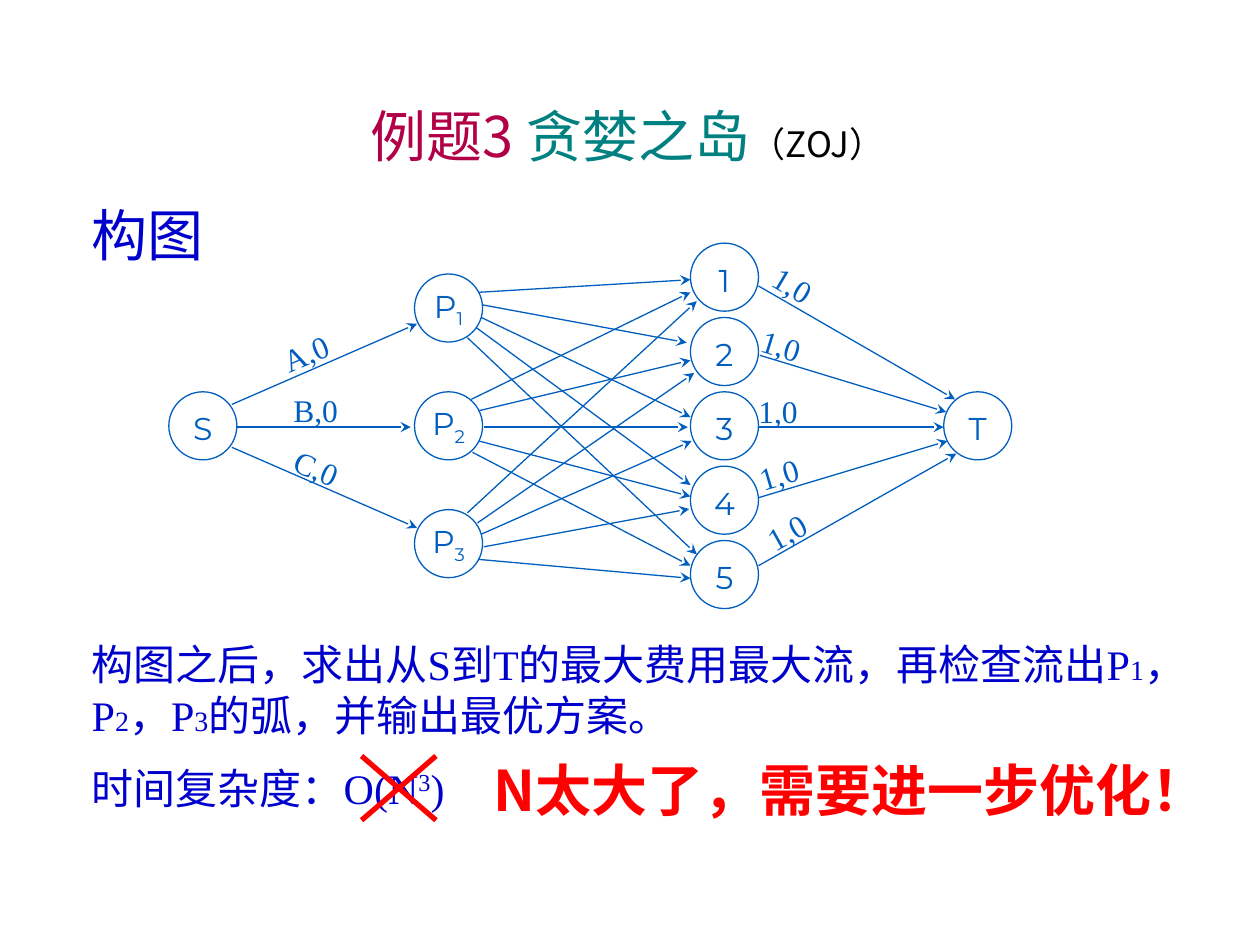
from typing import NamedTuple

from lxml.etree import SubElement
from pptx import Presentation
from pptx.dml.color import RGBColor
from pptx.enum.shapes import MSO_CONNECTOR as Connector, MSO_SHAPE as Shape
from pptx.enum.text import MSO_ANCHOR as Anchor, MSO_AUTO_SIZE as AutoSize, PP_ALIGN as Align
from pptx.oxml.ns import qn
from pptx.util import Inches, Pt

NAVY = RGBColor(0x00, 0x00, 0xCC)
BLUE = RGBColor(0x00, 0x5F, 0xBE)
CRIMSON = RGBColor(0xB2, 0x00, 0x48)
TEAL = RGBColor(0x00, 0x80, 0x80)
BLACK = RGBColor(0x00, 0x00, 0x00)
RED = RGBColor(0xFF, 0x00, 0x00)
SERIF = "Times New Roman"
HAN = "Noto Sans CJK SC"
NODE_FONT = "Montserrat"
NODE_SIZE = 0.54
PERSON_X, ITEM_X = 3.29, 5.48
MIDDLE_Y, ITEM_PITCH, PERSON_PITCH = 3.11, 0.59, 0.935


class Span(NamedTuple):
    text: str
    size: float
    font: str
    color: RGBColor
    baseline: int = 0
    bold: bool = False


class Node(NamedTuple):
    name: str
    left: float
    top: float
    subscript: str = ""


class Edge(NamedTuple):
    x1: float
    y1: float
    x2: float
    y2: float


class Label(NamedTuple):
    text: str
    left: float
    top: float
    width: float = 0.79
    angle: float = 0


def write(frame, spans: list[Span], *, align=Align.LEFT, anchor=Anchor.TOP, wrap=True) -> None:
    frame.word_wrap = wrap
    frame.vertical_anchor = anchor
    paragraph = frame.paragraphs[0]
    paragraph.alignment = align
    for span in spans:
        run = paragraph.add_run()
        run.text = span.text
        run.font.size = Pt(span.size)
        run.font.bold = span.bold
        run.font.color.rgb = span.color
        run.font.name = span.font
        properties = run._r.get_or_add_rPr()
        SubElement(properties, qn("a:ea"), typeface=HAN)
        if span.baseline:
            properties.set("baseline", str(span.baseline * 1000))


def add_text(slide, left: float, top: float, width: float, height: float,
             spans: list[Span], *, angle: float = 0, **layout) -> None:
    box = slide.shapes.add_textbox(Inches(left), Inches(top), Inches(width), Inches(height))
    box.rotation = angle
    write(box.text_frame, spans, **layout)
    box.text_frame.auto_size = AutoSize.SHAPE_TO_FIT_TEXT


def draw_node(slide, node: Node) -> None:
    circle = slide.shapes.add_shape(Shape.OVAL, Inches(node.left), Inches(node.top),
                                    Inches(NODE_SIZE), Inches(NODE_SIZE))
    circle.shadow.inherit = False
    circle.fill.background()
    circle.line.color.rgb = BLUE
    circle.line.width = Pt(0.75)
    frame = circle.text_frame
    frame.margin_left = frame.margin_right = frame.margin_bottom = 0
    frame.margin_top = Inches(0 if node.subscript else 0.04)
    spans = [Span(node.name, 18, NODE_FONT, BLUE)]
    if node.subscript:
        spans.append(Span(node.subscript, 18, NODE_FONT, BLUE, baseline=-25))
    write(frame, spans, align=Align.CENTER, anchor=Anchor.MIDDLE, wrap=False)


def draw_edge(slide, edge: Edge, *, color: RGBColor = BLUE, width: float = 0.75,
              arrow: bool = True) -> None:
    line = slide.shapes.add_connector(Connector.STRAIGHT, *(Inches(v) for v in edge))
    line.line.color.rgb = color
    line.line.width = Pt(width)
    properties = line.element.spPr
    if arrow:
        SubElement(properties.find(qn("a:ln")), qn("a:tailEnd"), type="stealth")
    SubElement(properties, qn("a:effectLst"))


def draw_label(slide, label: Label) -> None:
    add_text(slide, label.left, label.top, label.width, 0.4,
             [Span(label.text, 18, SERIF, BLUE)], angle=label.angle, anchor=Anchor.MIDDLE)


NODES = [
    Node("S", 1.34, MIDDLE_Y),
    *(Node("P", PERSON_X, MIDDLE_Y + (i - 2) * PERSON_PITCH, str(i)) for i in range(1, 4)),
    *(Node(str(i), ITEM_X, MIDDLE_Y + (i - 3) * ITEM_PITCH) for i in range(1, 6)),
    Node("T", 7.49, MIDDLE_Y),
]

SOURCE_EDGES = [
    Edge(1.84, 3.21, 3.31, 2.57), Edge(1.88, 3.39, 3.26, 3.39), Edge(1.84, 3.55, 3.31, 4.19),
]
CHOICE_EDGES = [
    Edge(3.8, 2.32, 5.48, 2.22), Edge(3.83, 2.42, 5.45, 2.72), Edge(3.82, 2.52, 5.48, 3.31),
    Edge(3.78, 2.6, 5.48, 3.85), Edge(3.71, 2.68, 5.53, 4.4),
    Edge(3.74, 3.17, 5.48, 2.32), Edge(3.8, 3.26, 5.48, 2.86), Edge(3.84, 3.39, 5.46, 3.39),
    Edge(3.8, 3.5, 5.48, 3.94), Edge(3.75, 3.59, 5.48, 4.49),
    Edge(3.71, 4.07, 5.53, 2.39), Edge(3.79, 4.15, 5.51, 2.96), Edge(3.82, 4.24, 5.49, 3.5),
    Edge(3.84, 4.34, 5.47, 4.04), Edge(3.8, 4.44, 5.48, 4.59),
]
SINK_EDGES = [
    Edge(6.02, 2.27, 7.58, 3.17), Edge(6.03, 2.82, 7.51, 3.27), Edge(6.02, 3.39, 7.49, 3.39),
    Edge(6.02, 3.95, 7.52, 3.5), Edge(6.02, 4.49, 7.59, 3.6),
]
LABELS = [
    Label("A,0", 2.13, 2.54, 0.89, 337.3), Label("B,0", 2.23, 3.05),
    Label("C,0", 2.23, 3.55, 0.74, 23.8),
    Label("1,0", 6.02, 2.13, angle=30.8), Label("1,0", 5.94, 2.58, angle=17.2),
    Label("1,0", 5.92, 3.06), Label("1,0", 5.92, 3.52, angle=343.4),
    Label("1,0", 5.97, 3.95, angle=330.8),
]
CROSS = [Edge(2.87, 6, 3.46, 6.51), Edge(3.46, 6, 2.87, 6.51)]


def main() -> None:
    deck = Presentation()
    deck.slide_width, deck.slide_height = Inches(10), Inches(7.5)
    slide = deck.slides.add_slide(deck.slide_layouts[6])

    add_text(slide, 0.31, 0.75, 9.34, 0.64, [
        Span("例题3 ", 32, HAN, CRIMSON),
        Span("贪婪之岛", 32, "Comic Neue", TEAL),
        Span("（", 20, "Arial", BLACK),
        Span("ZOJ", 20, HAN, BLACK),
        Span("）", 20, "Arial", BLACK),
    ], align=Align.CENTER, anchor=Anchor.MIDDLE)
    add_text(slide, 0.63, 1.54, 2.44, 0.64, [Span("构图", 32, HAN, NAVY)])

    for node in NODES:
        draw_node(slide, node)
    for edge in SOURCE_EDGES + CHOICE_EDGES + SINK_EDGES:
        draw_edge(slide, edge)
    for label in LABELS:
        draw_label(slide, label)

    method = [("构图之后，求出从S到T的最大费用最大流，再检查流出P", 24), ("1", 16),
              ("，P", 24), ("2", 16), ("，P", 24), ("3", 16), ("的弧，并输出最优方案。", 24)]
    add_text(slide, 0.63, 5.02, 8.94, 0.9,
             [Span(text, size, SERIF, NAVY) for text, size in method])
    add_text(slide, 0.63, 6, 3.03, 0.9, [
        Span("时间复杂度：", 24, HAN, NAVY),
        Span("O(N", 24, SERIF, NAVY),
        Span("3", 24, SERIF, NAVY, baseline=30),
        Span(")", 24, SERIF, NAVY),
    ])
    for stroke in CROSS:
        draw_edge(slide, stroke, color=RED, width=3, arrow=False)
    add_text(slide, 3.82, 5.95, 5.91, 0.64,
             [Span("N太大了，需要进一步优化！", 32, HAN, RED, bold=True)])
    deck.save("out.pptx")


if __name__ == "__main__":
    main()
